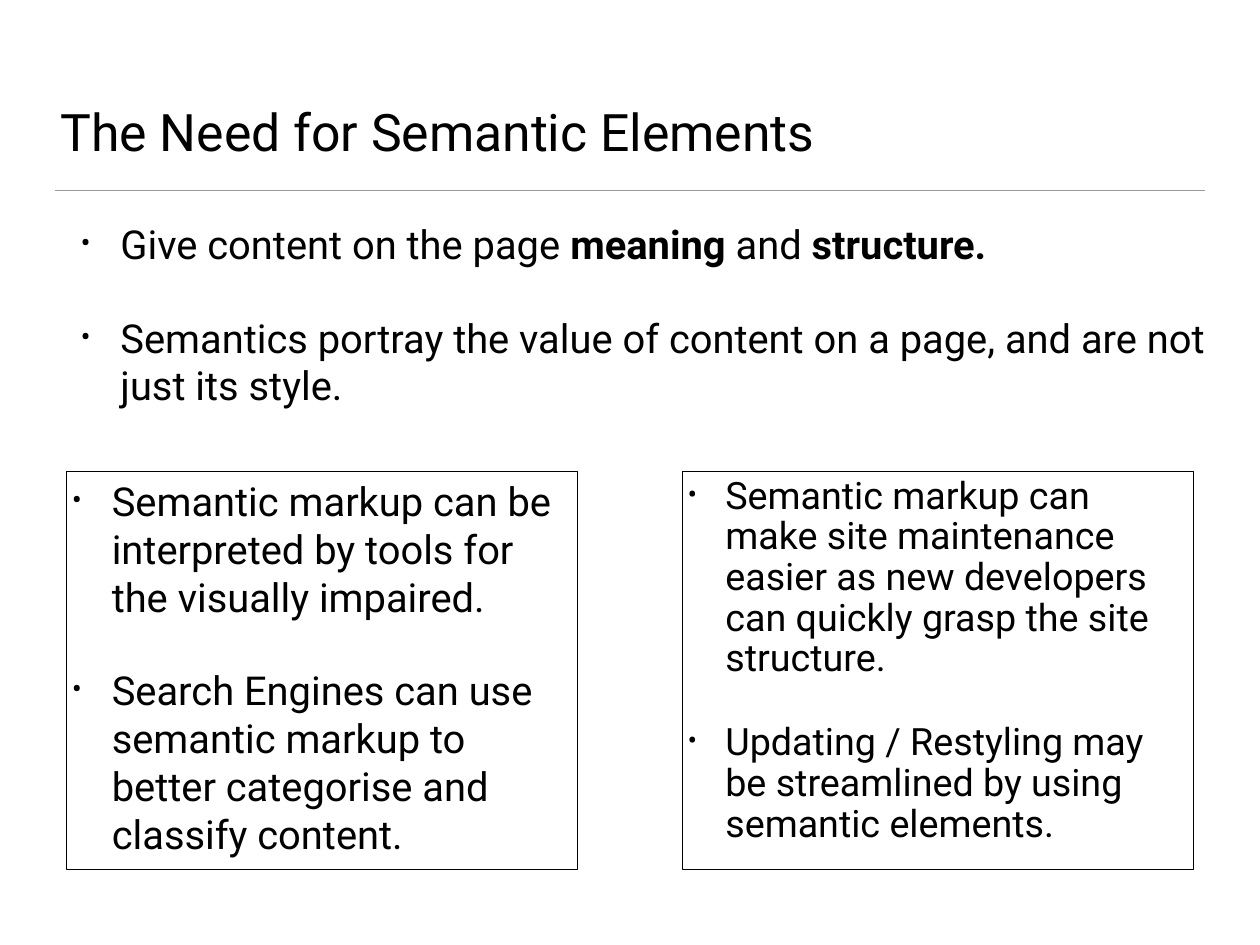
from lxml import etree
from pptx import Presentation
from pptx.dml.color import RGBColor
from pptx.enum.shapes import MSO_CONNECTOR, MSO_SHAPE
from pptx.enum.text import MSO_ANCHOR, PP_ALIGN
from pptx.oxml.ns import qn
from pptx.util import Pt

STRAIGHT = MSO_CONNECTOR.STRAIGHT
RECTANGLE = MSO_SHAPE.RECTANGLE
TOP, BOTTOM = MSO_ANCHOR.TOP, MSO_ANCHOR.BOTTOM
LEFT = PP_ALIGN.LEFT
FONT = "Roboto"
BLACK, GREY = "000000", "9A9A9A"
INSET = 4.5
BOX_LEFT, BOX_TOP, BOX_WIDTH, BOX_HEIGHT, BOX_STEP = 54, 383, 415.5, 324, 500.4


def color(value):
    return RGBColor.from_string(value)


def set_frame(tf, anchor):
    tf.word_wrap = True
    tf.vertical_anchor = anchor
    tf.margin_left = tf.margin_right = Pt(INSET)
    tf.margin_top = tf.margin_bottom = Pt(INSET)


def add_run(p, text, size, bold=False):
    r = p.add_run()
    r.text = text
    r.font.name = FONT
    r.font.size = Pt(size)
    r.font.bold = bold
    r.font.color.rgb = color(BLACK)


def set_bullet(p, indent):
    pPr = p._p.get_or_add_pPr()
    pPr.set("marL", str(Pt(indent)))
    pPr.set("indent", str(-Pt(indent)))
    etree.SubElement(pPr, qn("a:buSzPct")).set("val", "75000")
    etree.SubElement(pPr, qn("a:buFont")).set("typeface", FONT)
    etree.SubElement(pPr, qn("a:buChar")).set("char", "•")


def fill_bullets(tf, items, size=32.4, indent=32.4, before=37, spacing=1.0):
    set_frame(tf, TOP)
    for i, runs in enumerate(items):
        p = tf.add_paragraph() if i else tf.paragraphs[0]
        p.alignment = LEFT
        p.line_spacing = spacing
        p.space_before = Pt(before)
        set_bullet(p, indent)
        for text, bold in runs:
            add_run(p, text, size, bold)


def add_title(s, text):
    sp = s.shapes.title
    sp.left, sp.top, sp.width, sp.height = Pt(44.6), Pt(26), Pt(934), Pt(110)
    set_frame(sp.text_frame, BOTTOM)
    p = sp.text_frame.paragraphs[0]
    p.alignment = LEFT
    add_run(p, text, 42)


def add_rule(s, x, y, width):
    rule = s.shapes.add_connector(STRAIGHT, Pt(x), Pt(y), Pt(x + width), Pt(y))
    rule.line.color.rgb = color(GREY)
    rule.line.width = Pt(1)
    etree.SubElement(rule._element.spPr, qn("a:effectLst"))


def add_body(s, items):
    sp = s.shapes.add_textbox(Pt(61), Pt(174.2), Pt(934), Pt(162))
    fill_bullets(sp.text_frame, items)


def add_box(s, column, items, **style):
    sp = s.shapes.add_shape(RECTANGLE, Pt(BOX_LEFT + column * BOX_STEP), Pt(BOX_TOP),
                            Pt(BOX_WIDTH), Pt(BOX_HEIGHT))
    sp.shadow.inherit = False
    sp.fill.background()
    sp.line.color.rgb = color(BLACK)
    sp.line.width = Pt(1)
    fill_bullets(sp.text_frame, items, **style)


def main():
    prs = Presentation()
    prs.slide_width, prs.slide_height = Pt(1024), Pt(768)
    s = prs.slides.add_slide(prs.slide_layouts[5])
    add_rule(s, 44.6, 154.8, 934.6)
    add_title(s, "The Need for Semantic Elements")
    add_body(s, [
        [("Give content on the page ", False), ("meaning", True),
         (" and ", False), ("structure.", True)],
        [("Semantics portray the value of content on a page, and are not just its style.", False)],
    ])
    add_box(s, 0, [
        [("Semantic markup can be interpreted by tools for the visually impaired.", False)],
        [("Search Engines can use semantic markup to better categorise and classify content.", False)],
    ])
    add_box(s, 1, [
        [("Semantic markup can make site maintenance easier as new developers "
          "can quickly grasp the site structure.", False)],
        [("Updating / Restyling may be streamlined by using semantic elements.", False)],
    ], size=30.6, indent=30.6, before=35, spacing=0.9)
    prs.save("out.pptx")


if __name__ == "__main__":
    main()
